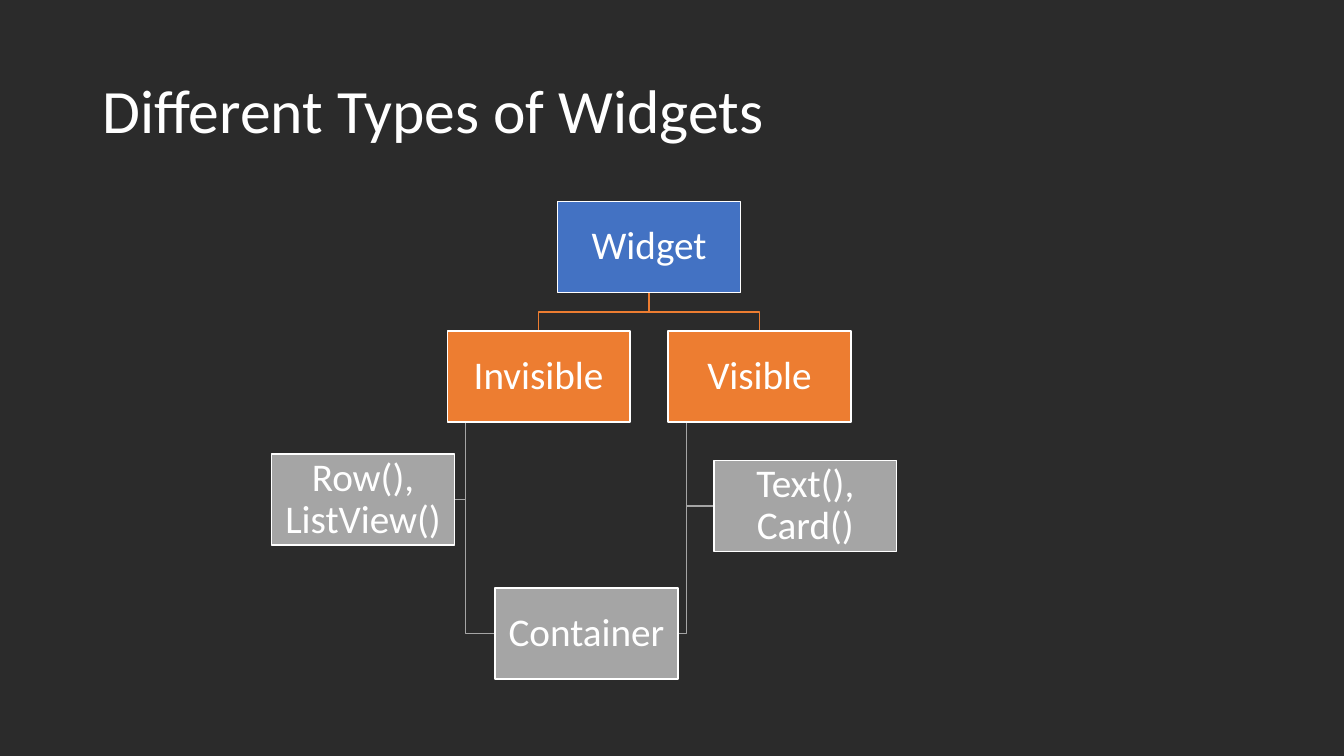
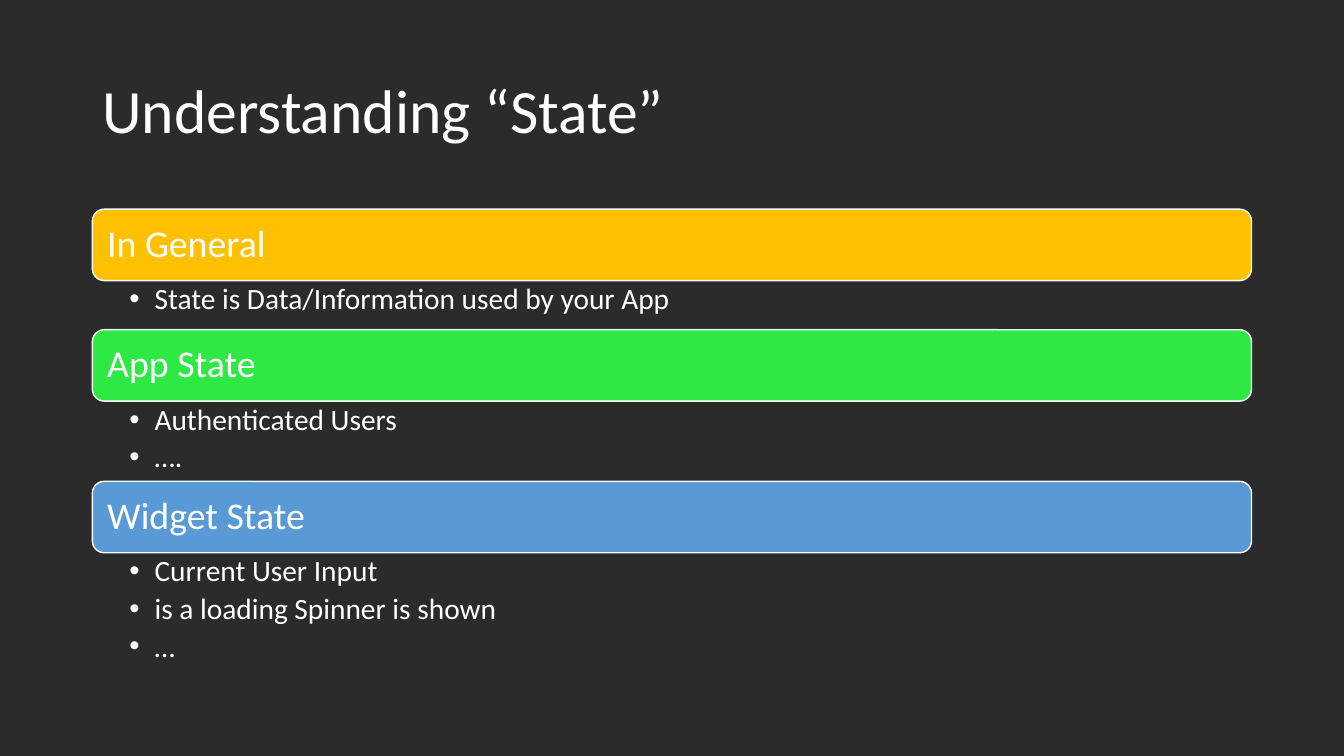
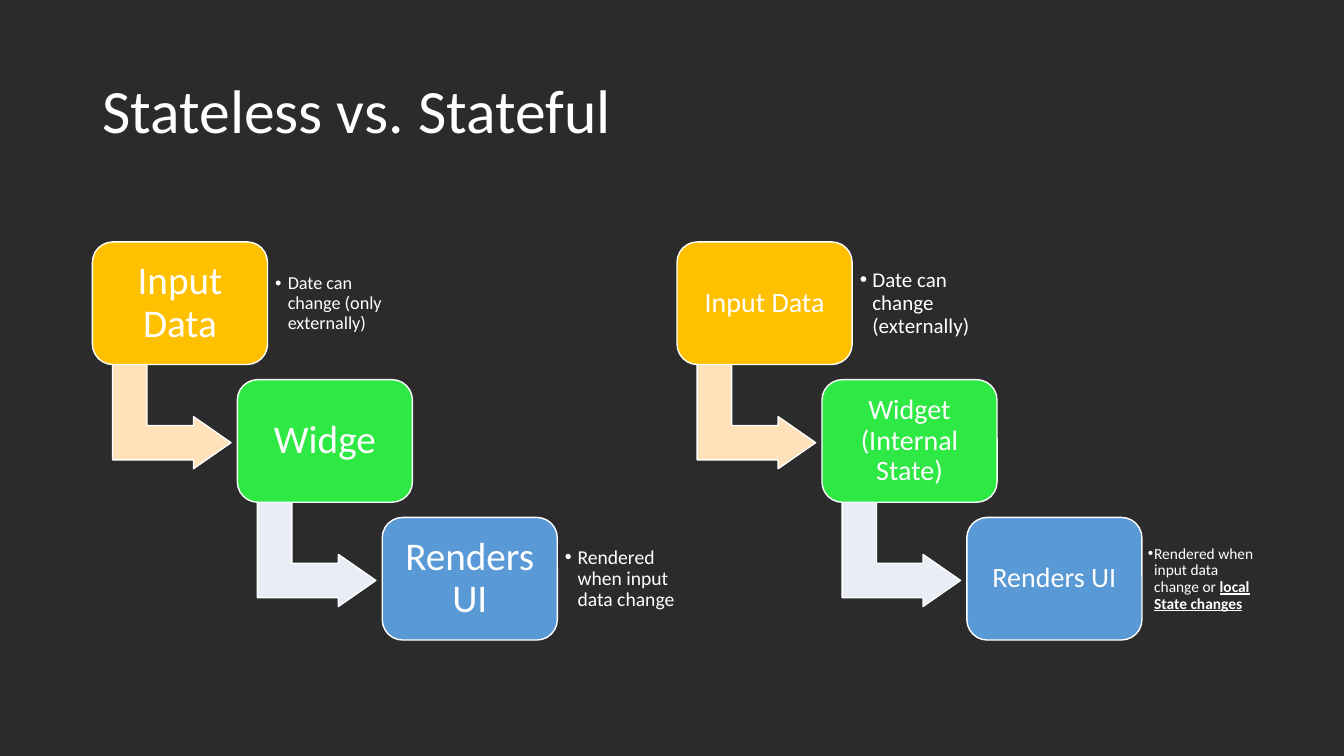
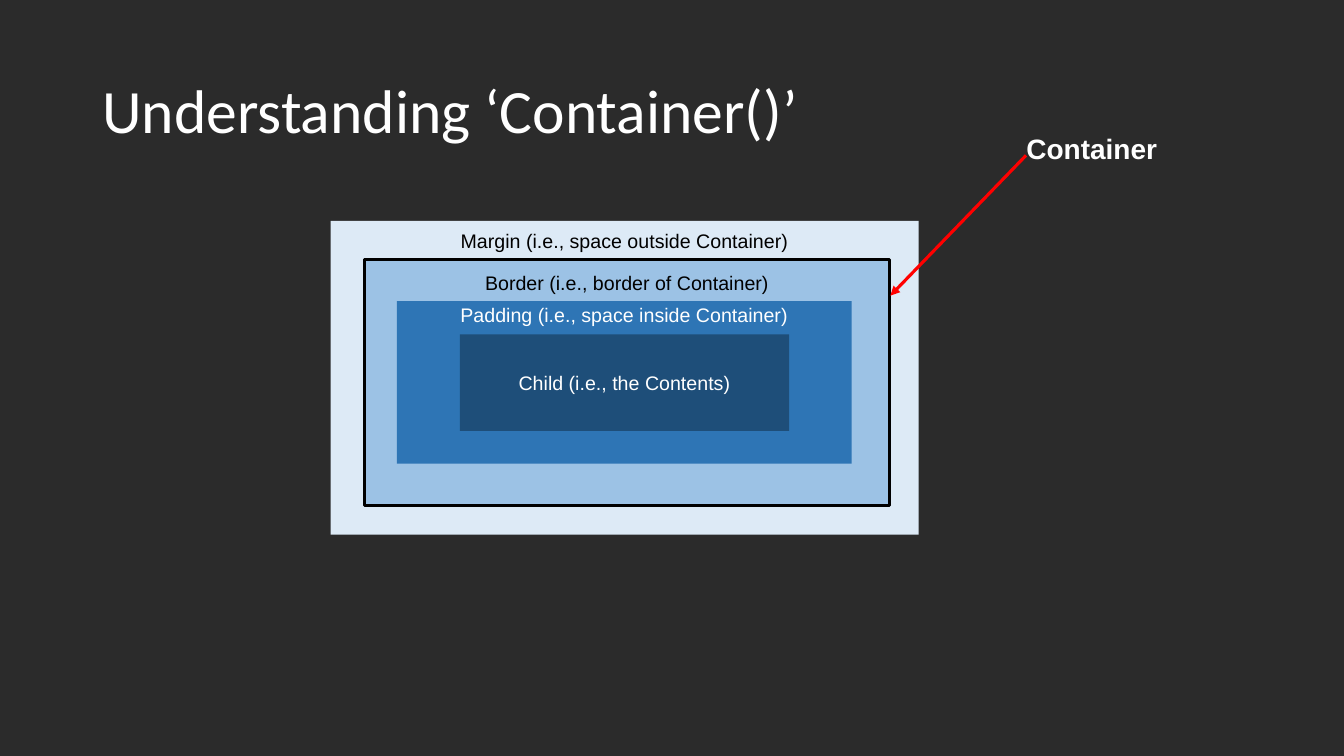
from dataclasses import dataclass, replace
from typing import Optional

from lxml.etree import SubElement
from pptx import Presentation
from pptx.dml.color import RGBColor
from pptx.enum.shapes import MSO_CONNECTOR as Wire, MSO_SHAPE as Form
from pptx.enum.text import MSO_ANCHOR as Anchor, MSO_AUTO_SIZE as Fit, PP_ALIGN as Align
from pptx.oxml.ns import qn
from pptx.util import Emu, Pt

CELL = 76200
COLS, ROWS = 160, 90
EDGE, SPAN = 11, 138
WHITE, BLACK, DARK = "FFFFFF", "000000", "2B2B2B"
BLUE, ORANGE, GREY, RED = "4372C3", "ED7D31", "A5A5A5", "FF0000"
GOLD, GREEN, SKY = "FFC000", "2EE844", "5999D5"
PEACH, MIST = "FFE2BA", "E8EDF6"


@dataclass(frozen=True)
class Box:
    x: float
    y: float
    w: float
    h: float

    @property
    def mid(self) -> float:
        return self.x + self.w / 2

    @property
    def end(self) -> float:
        return self.x + self.w

    @property
    def base(self) -> float:
        return self.y + self.h


@dataclass(frozen=True)
class Look:
    size: float
    font: str = "Calibri"
    hue: str = WHITE
    align: Align = Align.LEFT
    anchor: Anchor = Anchor.MIDDLE
    pad: tuple = (1.2, 0.6, 1.2, 0.6)
    lead: float = 0.9
    gap: float = 0
    hang: float = 0
    bold: bool = False


@dataclass(frozen=True)
class Node:
    name: str
    text: str
    x: float
    y: float
    fill: str
    root: str = ""


@dataclass(frozen=True)
class Topic:
    head: str
    fill: str
    high: float
    lines: tuple


@dataclass(frozen=True)
class Note:
    text: str
    size: float
    pad: float = 0.9
    hang: float = 1.5


@dataclass(frozen=True)
class Step:
    text: str
    note: Optional[Note] = None


@dataclass(frozen=True)
class Flow:
    x: float
    size: float
    pad: float
    steps: tuple


@dataclass(frozen=True)
class Layer:
    box: Box
    fill: str
    text: str
    hue: str = WHITE
    drop: Optional[float] = None
    line: str = ""


HEAD = Look(44)
NODE = Look(28, align=Align.CENTER, pad=(0.25,) * 4)
BAR = Look(27, pad=(1.35,) * 4)
LIST = Look(21, anchor=Anchor.TOP, pad=(4.4, 0.45, 2.5, 0.45), gap=4.2, hang=3)
LABEL = Look(14, font="Arial", align=Align.CENTER, lead=1)
CALL = Look(20, font="Arial", anchor=Anchor.TOP, lead=1, bold=True)

NODES = (
    Node("top", "Widget", 66.4, 24, BLUE),
    Node("right", "Visible", 79.55, 39.4, ORANGE, "top"),
    Node("text", "Text(), Card()", 85, 54.8, GREY, "right"),
    Node("left", "Invisible", 53.25, 39.4, ORANGE, "top"),
    Node("row", "Row(), ListView()", 32.35, 54.05, GREY, "left"),
    Node("both", "Container", 58.95, 70, GREY, "left right"),
)
TOPICS = (
    Topic("In General", GOLD, 5.85, ("State is Data/Information used by your App",)),
    Topic("App State", GREEN, 9.55, ("Authenticated Users", "….")),
    Topic("Widget State", SKY, 14.3,
          ("Current User Input", "is a loading Spinner is shown", "…")),
)
FLOWS = (
    Flow(EDGE, 28, 1.4, (
        Step("Input Data", Note("Date can change (only externally)", 13)),
        Step("Widge"),
        Step("Renders UI", Note("Rendered when input data change", 14)),
    )),
    Flow(80.6, 20, 0.95, (
        Step("Input Data", Note("Date can change (externally)", 15)),
        Step("Widget (Internal State)"),
        Step("Renders UI", Note("Rendered when input data change or |local State changes",
                                11, 0.7, 0.75)),
    )),
)
LAYERS = (
    Layer(Box(39.35, 26.3, 70, 37.35), "DDEAF6",
          "Margin (i.e., space outside Container)", BLACK, 0.95),
    Layer(Box(43.4, 30.9, 62.5, 29.25), "9CC2E5",
          "Border (i.e., border of Container)", BLACK, 1.35, BLACK),
    Layer(Box(47.25, 35.85, 54.15, 19.35), "2E75B5",
          "Padding (i.e., space inside Container)", drop=0.2),
    Layer(Box(54.75, 39.8, 39.2, 11.5), "1E4E79", "Child (i.e., the Contents)"),
)


def tint(code: str) -> RGBColor:
    return RGBColor.from_string(code)


def grid(*cells: float) -> list:
    return [Emu(round(n * CELL)) for n in cells]


def place(item, box: Box) -> None:
    item.left, item.top, item.width, item.height = grid(box.x, box.y, box.w, box.h)


def dot(para, hang: float) -> None:
    props = para._p.get_or_add_pPr()
    inset = round(hang * CELL)
    props.set("marL", str(inset))
    props.set("indent", str(-inset))
    if hang:
        SubElement(props, qn("a:buFont")).set("typeface", "Arial")
        SubElement(props, qn("a:buChar")).set("char", "•")
    else:
        SubElement(props, qn("a:buNone"))


def write(frame, look: Look, *lines: str) -> None:
    frame.auto_size = Fit.NONE
    frame.word_wrap = True
    frame.vertical_anchor = look.anchor
    (frame.margin_left, frame.margin_top,
     frame.margin_right, frame.margin_bottom) = grid(*look.pad)
    for i, line in enumerate(lines):
        para = frame.add_paragraph() if i else frame.paragraphs[0]
        dot(para, look.hang)
        para.alignment = look.align
        para.line_spacing = look.lead
        para.space_before = Pt(look.gap if i else 0)
        font = para.font
        font.name, font.size, font.bold = look.font, Pt(look.size), look.bold
        font.color.rgb = tint(look.hue)
        plain, _, strong = line.partition("|")
        para.add_run().text = plain
        if strong:
            run = para.add_run()
            run.text = strong
            run.font.bold = run.font.underline = True


def shape(slide, form: Form, box: Box, fill: str, line: str = WHITE, width: float = 1):
    item = slide.shapes.add_shape(form, *grid(box.x, box.y, box.w, box.h))
    item.shadow.inherit = False
    item.fill.solid()
    item.fill.fore_color.rgb = tint(fill)
    if line:
        item.line.color.rgb = tint(line)
        item.line.width = Pt(width)
    else:
        item.line.fill.background()
    return item


def trace(slide, points: list, hue: str) -> None:
    start, *rest = [tuple(grid(*point)) for point in points]
    path = slide.shapes.build_freeform(*start)
    path.add_line_segments(rest, close=False)
    item = path.convert_to_shape()
    item.shadow.inherit = False
    item.fill.background()
    item.line.color.rgb = tint(hue)
    item.line.width = Pt(1)


def start(deck, title: str, kind: str = "Title Only"):
    slide = deck.slides.add_slide(deck.slide_layouts.get_by_name(kind))
    place(slide.shapes.title, Box(EDGE, 4.8, SPAN, 17.4))
    write(slide.shapes.title.text_frame, HEAD, title)
    return slide


def fill_lists(slide, lists: list) -> None:
    slots = list(slide.placeholders)[1:]
    for slot, (box, look, lines) in zip(slots, lists):
        place(slot, box)
        write(slot.text_frame, look, *lines)
    for slot in slots[len(lists):]:
        slot._element.getparent().remove(slot._element)


def route(root: Box, leaf: Box, top: bool) -> list:
    if top:
        bend = (root.base + leaf.y) / 2
        return [(root.mid, root.base), (root.mid, bend), (leaf.mid, bend), (leaf.mid, leaf.y)]
    stem = root.x + root.w / 10
    side = leaf.x if leaf.x > stem else leaf.end
    level = leaf.y + leaf.h / 2
    return [(stem, root.base), (stem, level), (side, level)]


def draw_tree(deck) -> None:
    slide = start(deck, "Different Types of Widgets")
    boxes = {node.name: Box(node.x, node.y, 21.75, 10.85) for node in NODES}
    for node in NODES:
        for root in node.root.split():
            trace(slide, route(boxes[root], boxes[node.name], root == "top"), node.fill)
    for node in NODES:
        item = shape(slide, Form.RECTANGLE, boxes[node.name], node.fill)
        write(item.text_frame, NODE, node.text)


def draw_state(deck) -> None:
    slide = start(deck, "Understanding “State”", "Comparison")
    top, high, lists = 24.9, 8.5, []
    for topic in TOPICS:
        item = shape(slide, Form.ROUNDED_RECTANGLE, Box(EDGE, top, SPAN, high), topic.fill)
        write(item.text_frame, BAR, topic.head)
        lists.append((Box(EDGE, top + high, SPAN, topic.high), LIST, topic.lines))
        top += high + topic.high
    fill_lists(slide, lists)


def draw_flows(deck) -> None:
    slide = start(deck, "Stateless vs. Stateful", "Comparison")
    lists = []
    for flow in FLOWS:
        look = replace(NODE, size=flow.size, pad=(flow.pad,) * 4)
        for i, (step, fill, bend) in enumerate(
                zip(flow.steps, (GOLD, GREEN, SKY), (PEACH, MIST, ""))):
            x, y = flow.x + 17.25 * i, 28.8 + 16.4 * i
            if bend:
                arrow = shape(slide, Form.BENT_UP_ARROW,
                              Box(x + 3.25, y + 13.75, 12.4, 14.1), bend)
                arrow.rotation = 90
                for n, share in enumerate((0.33, 0.25, 0.36)):
                    arrow.adjustments[n] = share
            item = shape(slide, Form.ROUNDED_RECTANGLE, Box(x, y, 20.85, 14.6), fill)
            write(item.text_frame, look, step.text)
            if step.note:
                note = step.note
                style = Look(note.size, pad=(note.pad,) * 4, hang=note.hang)
                lists.append((Box(x + 20.85, y + 1.45, 15.15, 11.8), style, (note.text,)))
    fill_lists(slide, lists)


def draw_layers(deck) -> None:
    slide = start(deck, "Understanding ‘Container()’")
    for layer in LAYERS:
        item = shape(slide, Form.RECTANGLE, layer.box, layer.fill, layer.line, 2)
        look = replace(LABEL, hue=layer.hue)
        if layer.drop is not None:
            look = replace(look, anchor=Anchor.TOP, pad=(1.2, layer.drop, 1.2, 0.6))
        write(item.text_frame, look, layer.text)
    arrow = slide.shapes.add_connector(Wire.STRAIGHT, *grid(122.15, 18.5, 106, 35.2))
    arrow.line.color.rgb = tint(RED)
    arrow.line.width = Pt(2.25)
    SubElement(arrow.line._get_or_add_ln(), qn("a:tailEnd")).set("type", "triangle")
    SubElement(arrow._element.spPr, qn("a:effectLst"))
    label = slide.shapes.add_textbox(*grid(121, 15.05, 18.1, 5.3))
    write(label.text_frame, CALL, "Container")


def main() -> None:
    deck = Presentation()
    deck.slide_width, deck.slide_height = grid(COLS, ROWS)
    back = deck.slide_master.background.fill
    back.solid()
    back.fore_color.rgb = tint(DARK)
    for draw in (draw_tree, draw_state, draw_flows, draw_layers):
        draw(deck)
    deck.save("out.pptx")


if __name__ == "__main__":
    main()
